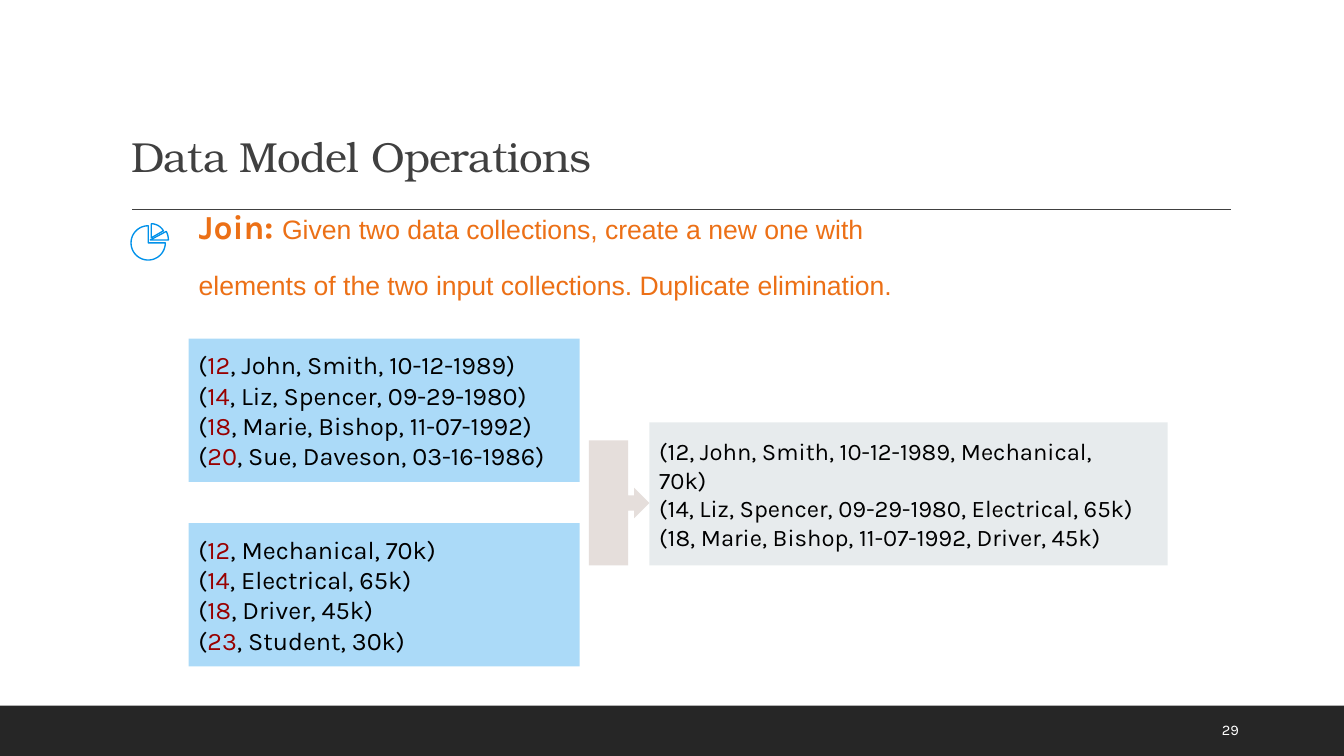
from dataclasses import dataclass
from math import cos, radians, sin

from lxml import etree
from pptx import Presentation
from pptx.dml.color import RGBColor
from pptx.enum.shapes import MSO_CONNECTOR as Connector, MSO_SHAPE as Shape
from pptx.enum.text import MSO_ANCHOR as Anchor, MSO_AUTO_SIZE as AutoSize, PP_ALIGN as Align
from pptx.oxml.ns import qn
from pptx.util import Inches, Pt


@dataclass(frozen=True)
class Theme:
    dark: str = "262626"
    grey: str = "404040"
    orange: str = "EC7016"
    blue: str = "0091EA"
    red: str = "980000"
    black: str = "000000"
    white: str = "FFFFFF"
    callout: str = "E5DEDB"
    silver: str = "CFD8DC"
    heading: str = "TeX Gyre Bonum"
    text: str = "Karla"
    plain: str = "Arial"
    title_size: float = 30
    term_size: float = 24
    body_size: float = 19
    input_size: float = 18
    output_size: float = 17
    number_size: float = 10.5


THEME = Theme()

PEOPLE = [("12", "John, Smith, 10-12-1989"), ("14", "Liz, Spencer, 09-29-1980"),
          ("18", "Marie, Bishop, 11-07-1992"), ("20", "Sue, Daveson, 03-16-1986")]
JOBS = [("12", "Mechanical, 70k"), ("14", "Electrical, 65k"),
        ("18", "Driver, 45k"), ("23", "Student, 30k")]
JOINED = ["(12, John, Smith, 10-12-1989, Mechanical,", "70k)",
          "(14, Liz, Spencer, 09-29-1980, Electrical, 65k)",
          "(18, Marie, Bishop, 11-07-1992, Driver, 45k)"]


def rgb(color):
    return RGBColor.from_string(color)


def place(box, left, top, width, height):
    box.left, box.top = Inches(left), Inches(top)
    box.width, box.height = Inches(width), Inches(height)


def write(box, lines, *, size, font=THEME.text, color=THEME.black, anchor=Anchor.TOP,
          line_spacing=None, before=0, after=0, tracking=None):
    """Fill a box with lines; each line is a list of (text, overrides) spans."""
    frame = box.text_frame
    frame.word_wrap = True
    frame.auto_size = AutoSize.NONE
    frame.vertical_anchor = anchor
    frame.margin_left = frame.margin_right = Inches(0.1)
    frame.margin_top = frame.margin_bottom = Inches(0.1)
    for index, line in enumerate(lines):
        para = frame.add_paragraph() if index else frame.paragraphs[0]
        para.alignment = Align.LEFT
        para.line_spacing = line_spacing
        para.space_before, para.space_after = Pt(before), Pt(after)
        for text, overrides in line:
            span = para.add_run()
            span.text = text
            look = {"size": size, "font": font, "color": color, "bold": False, **overrides}
            span.font.size = Pt(look["size"])
            span.font.name = look["font"]
            span.font.bold = look["bold"]
            span.font.color.rgb = rgb(look["color"])
            if tracking is not None:
                span.font._element.set("spc", str(round(tracking * 100)))


def remove_bullets(box):
    for para in box.text_frame.paragraphs:
        properties = para._p.get_or_add_pPr()
        properties.set("marL", "0")
        properties.set("indent", "0")
        etree.SubElement(properties, qn("a:buNone"))


def add_block(page, kind, left, top, width, height, color, opacity=None):
    block = page.shapes.add_shape(kind, Inches(left), Inches(top), Inches(width), Inches(height))
    block.shadow.inherit = False
    block.line.fill.background()
    block.fill.solid()
    block.fill.fore_color.rgb = rgb(color)
    if opacity is not None:
        tint = block.fill._xPr.find(qn("a:solidFill"))[0]
        etree.SubElement(tint, qn("a:alpha")).set("val", str(opacity * 1000))
    return block


def add_rule(page, left, right, y):
    rule = page.shapes.add_connector(Connector.STRAIGHT, Inches(left), Inches(y),
                                     Inches(right), Inches(y))
    rule.line.color.rgb = rgb(THEME.grey)
    rule.line.width = Pt(1)
    etree.SubElement(rule._element.spPr, qn("a:effectLst"))


def add_slice(page, x, y, radius, start, end, steps=48):
    """Outline a pie slice, with angles in degrees clockwise from the right."""
    angles = [radians(start + (end - start) * step / steps) for step in range(steps + 1)]
    arc = [(Inches(x + radius * cos(a)), Inches(y + radius * sin(a))) for a in angles]
    builder = page.shapes.build_freeform(Inches(x), Inches(y))
    builder.add_line_segments(arc, close=True)
    piece = builder.convert_to_shape()
    piece.shadow.inherit = False
    piece.fill.background()
    piece.line.color.rgb = rgb(THEME.blue)
    piece.line.width = Pt(0.96)


def add_records(page, top, records):
    block = add_block(page, Shape.RECTANGLE, 1.87, top, 3.88, 1.42, THEME.blue, opacity=33)
    lines = [[("(", {}), (key, {"color": THEME.red}), (f", {rest})", {})]
             for key, rest in records]
    write(block, lines, size=THEME.input_size, anchor=Anchor.MIDDLE)


def main():
    deck = Presentation()
    deck.slide_width, deck.slide_height = Inches(13.33), Inches(7.5)
    page = deck.slides.add_slide(deck.slide_layouts[1])

    # Footer band and title rule
    add_block(page, Shape.RECTANGLE, 0, 7, 13.33, 0.5, THEME.dark)
    add_rule(page, 1.31, 12.21, 2.08)

    # Title and definition
    title, body = page.placeholders
    place(title, 1.2, 0.31, 11, 1.59)
    write(title, [[("Data Model Operations", {})]], size=THEME.title_size, font=THEME.heading,
          color=THEME.grey, anchor=Anchor.BOTTOM, line_spacing=0.9, tracking=-0.5)
    place(body, 1.87, 1.9, 11, 4.11)
    term = {"size": THEME.term_size, "font": THEME.text, "bold": True}
    write(body, [[("Join: ", term), ("Given two data collections, create a new one with", {})],
                 [("elements of the two input collections. Duplicate elimination.", {})]],
          size=THEME.body_size, font=THEME.plain, color=THEME.orange,
          line_spacing=1.1, before=12, after=2)
    remove_bullets(body)

    # Page number
    number = page.shapes.add_textbox(Inches(12.02), Inches(7.05), Inches(0.85), Inches(0.4))
    write(number, [[("29", {})]], size=THEME.number_size, color=THEME.white)

    # Pie icon
    add_slice(page, 1.47, 2.41, 0.17, 0, 270)
    add_slice(page, 1.5, 2.36, 0.14, -90, -30)
    add_slice(page, 1.49, 2.38, 0.18, -28, 0)

    # Input collections
    add_records(page, 3.36, PEOPLE)
    add_records(page, 5.19, JOBS)

    # Joined collection
    arrow = add_block(page, Shape.RIGHT_ARROW_CALLOUT, 5.84, 4.37, 0.6, 1.24, THEME.callout)
    for index, value in enumerate((0.25, 0.25, 0.25, 0.65)):
        arrow.adjustments[index] = value
    result = add_block(page, Shape.RECTANGLE, 6.44, 4.19, 5.14, 1.42, THEME.silver, opacity=49)
    write(result, [[(line, {})] for line in JOINED], size=THEME.output_size,
          anchor=Anchor.MIDDLE)

    deck.save("out.pptx")


if __name__ == "__main__":
    main()
